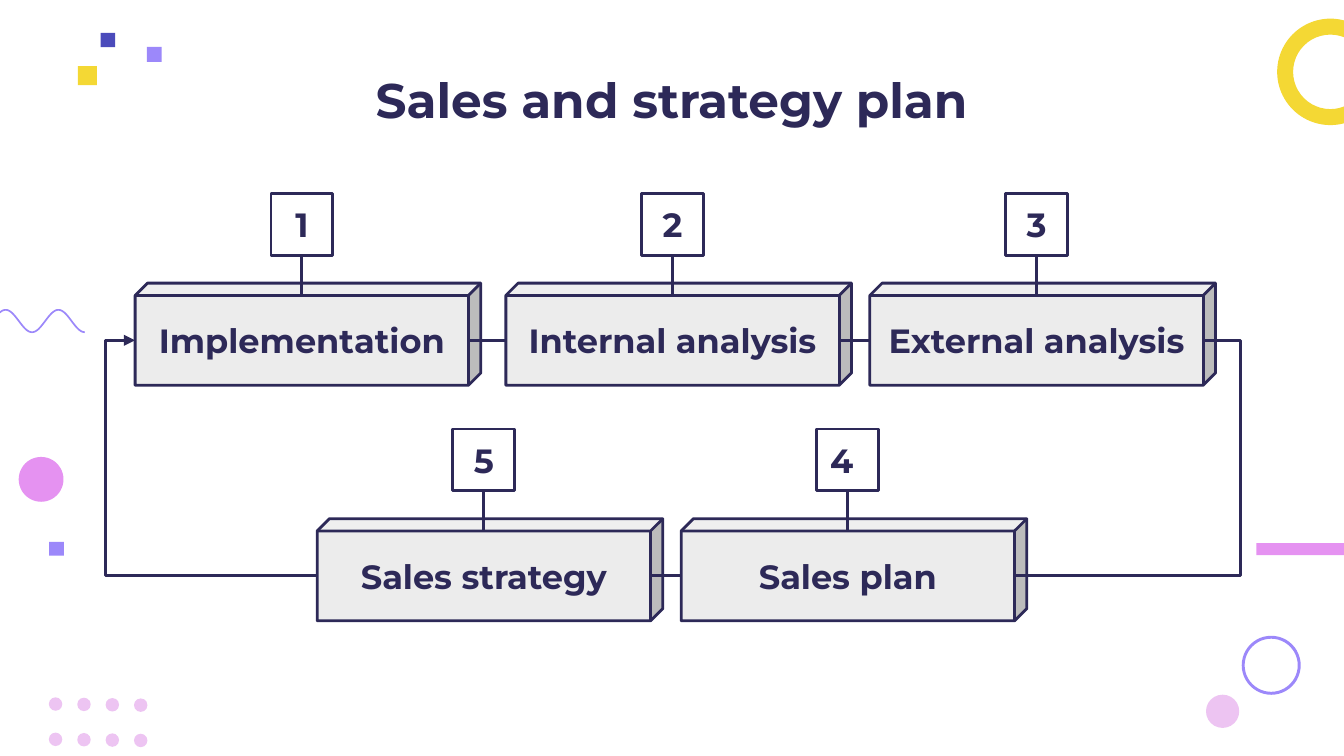
from dataclasses import dataclass
from itertools import pairwise
from math import cos, pi

from lxml.etree import SubElement
from pptx import Presentation
from pptx.dml.color import RGBColor
from pptx.enum.shapes import MSO_CONNECTOR, MSO_SHAPE
from pptx.enum.text import MSO_ANCHOR, PP_ALIGN
from pptx.oxml.ns import qn
from pptx.util import Pt


@dataclass(frozen=True)
class Theme:
    ink: str = "2D2958"
    face: str = "ECECEC"
    gold: str = "F4D834"
    lilac: str = "9C88FA"
    blue: str = "4B4BBB"
    pink: str = "E592F1"
    blush: str = "EDC4F2"
    font: str = "Montserrat"
    head: float = 26
    body: float = 18
    line: float = 1.5


class Board:
    def __init__(self, slide, theme):
        self.slide = slide
        self.theme = theme

    def text(self, shape, words, size, align=PP_ALIGN.CENTER):
        frame = shape.text_frame
        frame.text = words
        para = frame.paragraphs[0]
        pad = Pt(7.2)
        box = {"word_wrap": True, "vertical_anchor": MSO_ANCHOR.MIDDLE,
               "margin_left": pad, "margin_right": pad,
               "margin_top": pad, "margin_bottom": pad}
        face = {"name": self.theme.font, "size": Pt(size), "bold": True}
        font = para.runs[0].font
        for item, values in ((frame, box), (font, face), (para, {"alignment": align})):
            for key, value in values.items():
                setattr(item, key, value)
        font.color.rgb = RGBColor.from_string(self.theme.ink)

    def title(self, words, *box):
        shape = self.slide.shapes.title
        for key, value in zip(("left", "top", "width", "height"), box):
            setattr(shape, key, Pt(value))
        self.text(shape, words, self.theme.head)

    def paint(self, shape, fill=None, line=None, width=None):
        shape.shadow.inherit = False
        if fill:
            shape.fill.solid()
            shape.fill.fore_color.rgb = RGBColor.from_string(fill)
        else:
            shape.fill.background()
        if line:
            shape.line.color.rgb = RGBColor.from_string(line)
            shape.line.width = Pt(width or self.theme.line)
        else:
            shape.line.fill.background()

    def shape(self, kind, x, y, w, h, fill=None, line=None, adj=None):
        shape = self.slide.shapes.add_shape(kind, Pt(x), Pt(y), Pt(w), Pt(h))
        self.paint(shape, fill, line)
        if adj is not None:
            shape.adjustments[0] = adj
        return shape

    def wire(self, x1, y1, x2, y2, bend=None, arrow=False):
        """Draw a line, or an elbow whose upright part stands at x = bend."""
        kind = MSO_CONNECTOR.STRAIGHT if bend is None else MSO_CONNECTOR.ELBOW
        wire = self.slide.shapes.add_connector(kind, Pt(x1), Pt(y1), Pt(x2), Pt(y2))
        wire.line.color.rgb = RGBColor.from_string(self.theme.ink)
        wire.line.width = Pt(self.theme.line)
        props = wire.element.spPr
        if bend is not None:
            guides = props.find(qn("a:prstGeom")).find(qn("a:avLst"))
            share = round((bend - x1) / (x2 - x1) * 100000)
            SubElement(guides, qn("a:gd"), name="adj1", fmla=f"val {share}")
        if arrow:
            SubElement(wire.get_or_add_ln(), qn("a:tailEnd"), type="triangle")
        SubElement(props, qn("a:effectLst"))

    def wave(self, left, right, mid, rise, span):
        count = 100
        step = (right - left) / count
        dots = [(Pt(left + i * step), Pt(mid - rise * cos(2 * pi * i * step / span)))
                for i in range(count + 1)]
        path = self.slide.shapes.build_freeform(*dots[0])
        path.add_line_segments(dots[1:], close=False)
        self.paint(path.convert_to_shape(), line=self.theme.lilac, width=0.9)


def decor(board):
    t = board.theme
    for row in range(2):
        for col in range(4):
            board.shape(MSO_SHAPE.OVAL, 26.2 + 15.2 * col, 373.6 + 18.9 * row + 0.2 * col,
                        7.2, 7.2, t.blush)
    board.wave(-25.2, 45.4, 172, 6, 28.24)
    for x, y, size, color, ring in (
        (684.2, 10, 57, t.gold, 0.15),
        (665.2, 340.6, 31.6, t.lilac, 0.05),
    ):
        board.shape(MSO_SHAPE.DONUT, x, y, size, size, color, adj=ring)
    for x, y, size, color in ((10, 244.8, 24, t.pink), (646.1, 372.2, 17.8, t.blush)):
        board.shape(MSO_SHAPE.OVAL, x, y, size, size, color)
    for x, y, w, h, color in (
        (673, 291, 63, 6.4, t.pink),
        (41.8, 35.4, 10.2, 10.2, t.gold),
        (78.7, 25.2, 8, 8, t.lilac),
        (54, 17.6, 7.7, 7.7, t.blue),
        (26.3, 290.3, 7.9, 7.4, t.lilac),
    ):
        board.shape(MSO_SHAPE.RECTANGLE, x, y, w, h, color)


def flow(board):
    t = board.theme
    width, height, depth = 185.2, 54.7, 6.6
    front, badge = width - depth, 33.1
    mid = depth + (height - depth) / 2
    top, low = 151.7, 277.9
    steps = (("Implementation", 72.4, top), ("Internal analysis", 271, top),
             ("External analysis", 466, top), ("Sales plan", 364.9, low),
             ("Sales strategy", 169.9, low))

    for words, x, y in steps:
        cube = board.shape(MSO_SHAPE.CUBE, x, y, width, height, t.face, t.ink, depth / height)
        board.text(cube, words, t.body)

    for number, (words, x, y) in enumerate(steps, 1):
        center = x + front / 2
        board.wire(center, y - 14.9, center, y + depth)
        box = board.shape(MSO_SHAPE.RECTANGLE, center - badge / 2, y - 48, badge, badge,
                          line=t.ink)
        align = PP_ALIGN.LEFT if number == 4 else PP_ALIGN.CENTER
        board.text(box, str(number), t.body, align)

    for (_, x1, y1), (_, x2, y2) in pairwise(steps):
        if y1 != y2:
            board.wire(x1 + front, y1 + mid, x2 + front, y2 + mid, bend=664.7)
        elif x1 < x2:
            board.wire(x1 + front, y1 + mid, x2, y2 + mid)
        else:
            board.wire(x1, y1 + mid, x2 + front, y2 + mid)
    first, last = steps[0], steps[-1]
    board.wire(last[1], low + mid, first[1], top + mid, bend=56.4, arrow=True)


def main():
    deck = Presentation()
    deck.slide_width, deck.slide_height = Pt(720), Pt(405)
    board = Board(deck.slides.add_slide(deck.slide_layouts[5]), Theme())
    decor(board)
    board.title("Sales and strategy plan", 59.8, 30.2, 600.4, 45.4)
    flow(board)
    deck.save("out.pptx")


if __name__ == "__main__":
    main()
